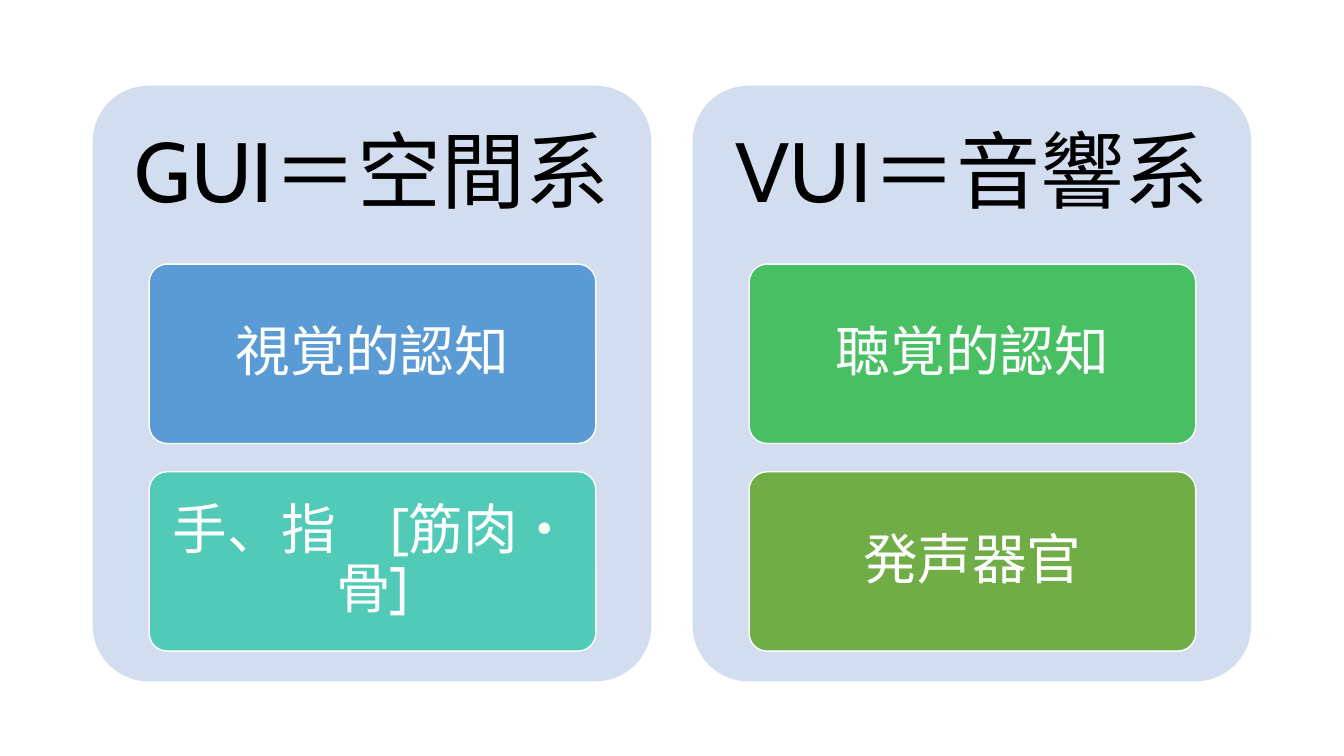
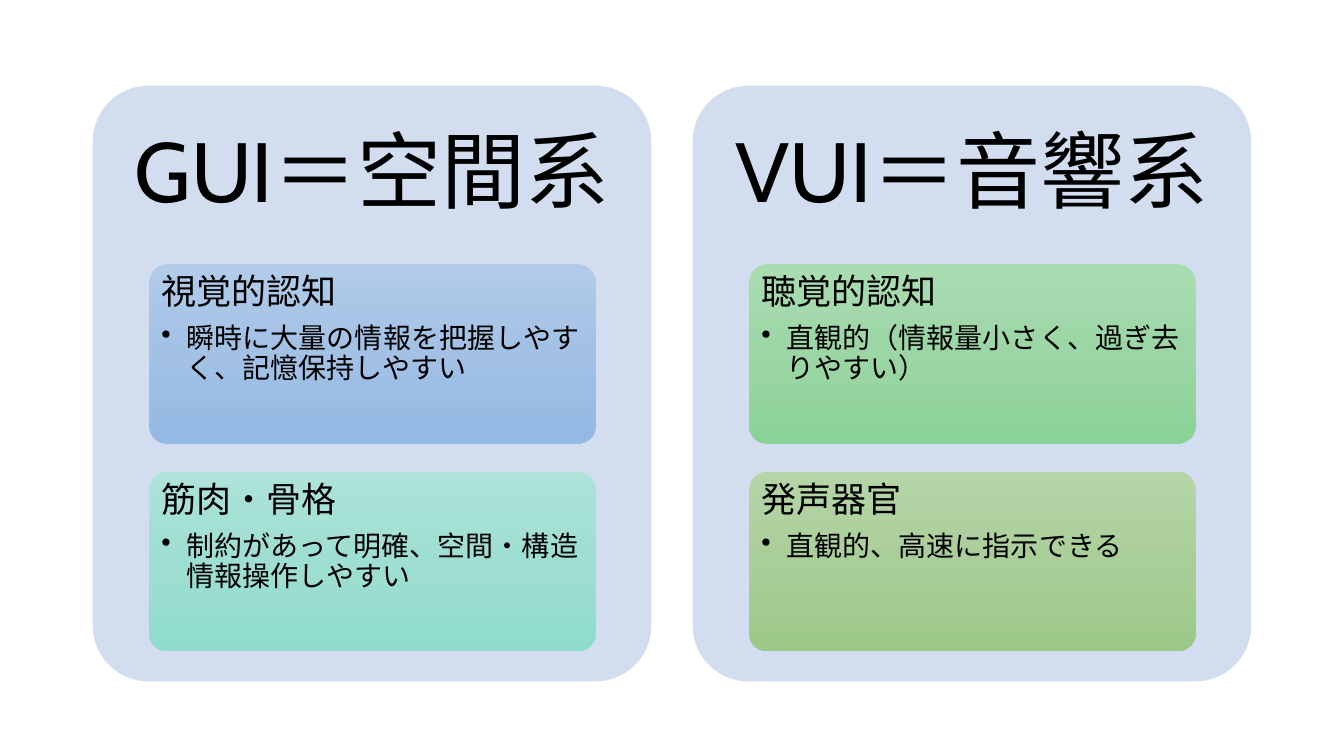
"""Build two slides that compare GUI and VUI."""
from copy import deepcopy
from dataclasses import dataclass

from lxml.etree import SubElement
from pptx import Presentation
from pptx.dml.color import RGBColor
from pptx.enum.shapes import MSO_SHAPE
from pptx.enum.text import MSO_ANCHOR, MSO_AUTO_SIZE, PP_ALIGN
from pptx.oxml.ns import qn
from pptx.util import Inches, Pt

FONT = "Cabin"
BLACK = RGBColor(0, 0, 0)
WHITE = RGBColor(255, 255, 255)
PALE = RGBColor(0xD2, 0xDE, 0xEF)
BLUE = RGBColor(0x5B, 0x9B, 0xD5)
TEAL = RGBColor(0x52, 0xCA, 0xB8)
GREEN = RGBColor(0x49, 0xBF, 0x64)
OLIVE = RGBColor(0x70, 0xAD, 0x47)
BLUES = (RGBColor(0xB1, 0xCB, 0xE9), RGBColor(0xA3, 0xC1, 0xE5), RGBColor(0x93, 0xB9, 0xE4))
TEALS = (RGBColor(0xAD, 0xE3, 0xD9), RGBColor(0x9F, 0xDE, 0xD2), RGBColor(0x8E, 0xDC, 0xCE))
GREENS = (RGBColor(0xAA, 0xDC, 0xB2), RGBColor(0x9C, 0xD6, 0xA5), RGBColor(0x8A, 0xD3, 0x96))
OLIVES = (RGBColor(0xB5, 0xD5, 0xA7), RGBColor(0xAA, 0xCE, 0x9A), RGBColor(0x9C, 0xC9, 0x87))

LEFT, TOP, WIDE, TALL = 0.92, 0.85, 5.54, 5.91
STEP = 5.95
HEAD = 1.77
INSET, CARD_W, CARD_H, CARD_STEP = 0.56, 4.43, 1.78, 2.06
HEADS = ("GUI＝空間系", "VUI＝音響系")
HEAD_IDS = (1, 3)


@dataclass
class Card:
    """A box with a label, one fill colour or three stops, and an optional point."""
    label: str
    paint: tuple
    point: str = ""


PLAIN = (
    (Card("視覚的認知", (BLUE,)), Card("手、指　[筋肉・骨]", (TEAL,))),
    (Card("聴覚的認知", (GREEN,)), Card("発声器官", (OLIVE,))),
)
DETAIL = (
    (Card("視覚的認知", BLUES, "瞬時に大量の情報を把握しやすく、記憶保持しやすい"),
     Card("筋肉・骨格", TEALS, "制約があって明確、空間・構造情報操作しやすい")),
    (Card("聴覚的認知", GREENS, "直観的（情報量小さく、過ぎ去りやすい）"),
     Card("発声器官", OLIVES, "直観的、高速に指示できる")),
)


def set_frame(frame, anchor, side: float, edge: float) -> None:
    """Set wrapping, anchor and margins of a text frame."""
    frame.word_wrap = True
    frame.auto_size = MSO_AUTO_SIZE.NONE
    frame.vertical_anchor = anchor
    frame.margin_left = frame.margin_right = Inches(side)
    frame.margin_top = frame.margin_bottom = Inches(edge)


def write(para, text: str, size: int, color: RGBColor, align, after: float = 0.35) -> None:
    """Fill a paragraph with one styled run."""
    para.alignment = align
    para.line_spacing = 0.9
    para.space_before = Pt(0)
    para.space_after = Pt(size * after)
    run = para.add_run()
    run.text = text
    run.font.size = Pt(size)
    run.font.bold = False
    run.font.color.rgb = color
    run.font.name = FONT
    SubElement(run.font._element, qn("a:ea"), typeface=FONT)


def add_point(frame, text: str) -> None:
    """Add a bulleted paragraph."""
    para = frame.add_paragraph()
    para.level = 1
    write(para, text, 20, BLACK, PP_ALIGN.LEFT, 0.15)
    props = para._p.get_or_add_pPr()
    props.set("marL", str(Inches(0.25)))
    props.set("indent", str(Inches(-0.25)))
    SubElement(props, qn("a:buChar"), char="•")


def paint_box(box, paint: tuple) -> None:
    """Fill a box with one colour or a gradient from top to bottom."""
    fill = box.fill
    if len(paint) == 1:
        fill.solid()
        fill.fore_color.rgb = paint[0]
        return
    fill.gradient()
    fill.gradient_angle = 270
    stops = box._element.spPr.find(".//" + qn("a:gsLst"))
    stops.insert(1, deepcopy(stops[0]))
    for i, (stop, color) in enumerate(zip(fill.gradient_stops, paint)):
        stop.color.rgb = color
        stop.position = i / (len(paint) - 1)


def add_box(slide, x: float, y: float, w: float, h: float, paint: tuple):
    """Add a rounded box without line or shadow."""
    box = slide.shapes.add_shape(MSO_SHAPE.ROUNDED_RECTANGLE,
                                 Inches(x), Inches(y), Inches(w), Inches(h))
    box.adjustments[0] = 0.1
    box.shadow.inherit = False
    box.line.fill.background()
    paint_box(box, paint)
    return box


def add_card(slide, x: float, y: float, card: Card) -> None:
    """Add a card with its label and point."""
    box = add_box(slide, x, y, CARD_W, CARD_H, card.paint)
    frame = box.text_frame
    if card.point:
        set_frame(frame, MSO_ANCHOR.TOP, 0.07, 0.05)
        write(frame.paragraphs[0], card.label, 25, BLACK, PP_ALIGN.LEFT)
        add_point(frame, card.point)
    else:
        box.line.color.rgb = WHITE
        box.line.width = Pt(1)
        set_frame(frame, MSO_ANCHOR.MIDDLE, 0.11, 0.08)
        write(frame.paragraphs[0], card.label, 39, WHITE, PP_ALIGN.CENTER)


def add_head(slide, holder, x: float, text: str) -> None:
    """Place a heading above its panel."""
    slide.shapes._spTree.append(holder._element)
    holder.left, holder.top = Inches(x), Inches(TOP)
    holder.width, holder.height = Inches(WIDE), Inches(HEAD)
    set_frame(holder.text_frame, MSO_ANCHOR.MIDDLE, 0.25, 0.25)
    write(holder.text_frame.paragraphs[0], text, 60, BLACK, PP_ALIGN.CENTER)


def add_slide(deck, panels: tuple) -> None:
    """Add a slide with two panels of cards."""
    slide = deck.slides.add_slide(deck.slide_layouts.get_by_name("Comparison"))
    spots = {spot.placeholder_format.idx: spot for spot in slide.placeholders}
    for key, spot in spots.items():
        if key not in HEAD_IDS:
            slide.shapes._spTree.remove(spot._element)
    for col, (head, key, cards) in enumerate(zip(HEADS, HEAD_IDS, panels)):
        x = LEFT + col * STEP
        add_box(slide, x, TOP, WIDE, TALL, (PALE,))
        add_head(slide, spots[key], x, head)
        for row, card in enumerate(cards):
            add_card(slide, x + INSET, TOP + HEAD + row * CARD_STEP, card)


def main() -> None:
    """Build and save the deck."""
    deck = Presentation()
    deck.slide_width, deck.slide_height = Inches(13.33), Inches(7.5)
    for panels in (PLAIN, DETAIL):
        add_slide(deck, panels)
    deck.save("out.pptx")


main()
